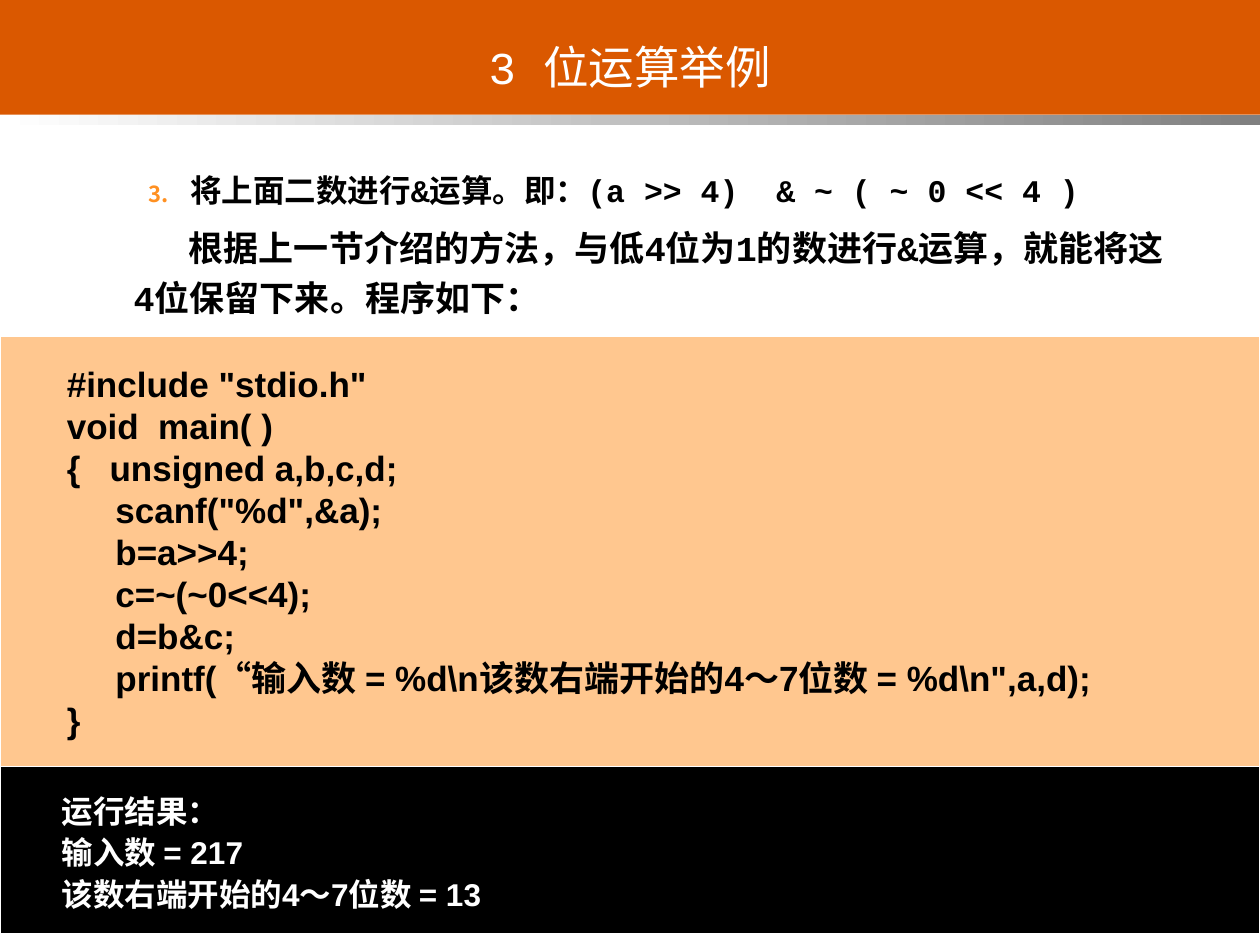
from lxml.etree import SubElement
from pptx import Presentation
from pptx.dml.color import RGBColor
from pptx.enum.lang import MSO_LANGUAGE_ID
from pptx.enum.shapes import MSO_SHAPE
from pptx.enum.text import MSO_ANCHOR, MSO_AUTO_SIZE, PP_ALIGN
from pptx.oxml.ns import qn
from pptx.util import Pt

ORANGE = RGBColor(0xDA, 0x58, 0x00)
PEACH = RGBColor(0xFF, 0xC7, 0x8F)
GRAY = RGBColor(0x80, 0x80, 0x80)
WHITE = RGBColor(0xFF, 0xFF, 0xFF)
BLACK = RGBColor(0x00, 0x00, 0x00)
NUMBER_COLOR = "FF9021"
WIDTH, HEIGHT = 720, 540

PROGRAM = r'''#include "stdio.h"
void  main( )
{   unsigned a,b,c,d;
     scanf("%d",&a);
     b=a>>4;
     c=~(~0<<4);
     d=b&c;
     printf(“输入数 = %d\n该数右端开始的4～7位数 = %d\n",a,d);
}'''
RESULT = """运行结果：
输入数 = 217
该数右端开始的4～7位数 = 13"""


def place(shape, left, top, width, height):
    shape.left, shape.top = Pt(left), Pt(top)
    shape.width, shape.height = Pt(width), Pt(height)


def write(paragraph, text, *, size, font, color, bold=False, align=PP_ALIGN.LEFT,
          line_height=None, before=0):
    paragraph.alignment = align
    paragraph.space_before = Pt(before)
    if line_height:
        paragraph.line_spacing = Pt(line_height)
    run = paragraph.add_run()
    run.text = text
    run.font.size = Pt(size)
    run.font.name = font
    run.font.bold = bold
    run.font.color.rgb = color
    run.font.language_id = MSO_LANGUAGE_ID.SIMPLIFIED_CHINESE


def set_indent(paragraph, margin, first_line):
    properties = paragraph._p.get_or_add_pPr()
    properties.set("marL", str(Pt(margin)))
    properties.set("indent", str(Pt(first_line)))
    return properties


def add_number(properties, start):
    bullet_color = SubElement(properties, qn("a:buClr"))
    SubElement(bullet_color, qn("a:srgbClr"), val=NUMBER_COLOR)
    SubElement(properties, qn("a:buSzPct"), val="70000")
    SubElement(properties, qn("a:buAutoNum"), type="arabicPeriod", startAt=str(start))


def add_panel(slide, top, height):
    panel = slide.shapes.add_shape(MSO_SHAPE.RECTANGLE, 0, Pt(top), Pt(WIDTH), Pt(height))
    panel.shadow.inherit = False
    return panel


def add_header(slide):
    band = add_panel(slide, 0, 65.5)
    band.fill.solid()
    band.fill.fore_color.rgb = ORANGE
    strip = add_panel(slide, 65.5, 5.76)
    strip.fill.gradient()
    strip.fill.gradient_angle = 180
    for stop, color in zip(strip.fill.gradient_stops, (GRAY, WHITE)):
        stop.color.rgb = color
    for position, bar in enumerate((band, strip), start=2):
        bar.line.fill.background()
        slide.shapes._spTree.insert(position, bar._element)


def fill_title(title):
    place(title, 36.7, 15.1, 646.6, 45.4)
    title.text_frame.vertical_anchor = MSO_ANCHOR.MIDDLE
    write(title.text_frame.paragraphs[0], "3 位运算举例", size=26, font="Courier New",
          color=WHITE, align=PP_ALIGN.CENTER)


def fill_body(body):
    place(body, 41.8, 90, 642.2, 102.2)
    frame = body.text_frame
    frame.auto_size = MSO_AUTO_SIZE.NONE
    step = frame.paragraphs[0]
    step.level = 1
    add_number(set_indent(step, 59.8, -23.8), 3)
    write(step, "将上面二数进行&运算。即：(a >> 4)  & ~ ( ~ 0 << 4 )", size=18,
          font="Courier New", color=BLACK, bold=True, line_height=25.9)
    explanation = frame.add_paragraph()
    SubElement(set_indent(explanation, 27.4, 31.5), qn("a:buNone"))
    write(explanation,
          "根据上一节介绍的方法，与低4位为1的数进行&运算，就能将这4位保留下来。程序如下：",
          size=20, font="Courier New", color=BLACK, bold=True, line_height=28.8, before=5)


def add_listing(slide, text, top, height, *, fill, inset, **text_format):
    panel = add_panel(slide, top, height)
    panel.fill.solid()
    panel.fill.fore_color.rgb = fill
    panel.line.color.rgb = WHITE
    panel.line.width = Pt(0.75)
    frame = panel.text_frame
    frame.word_wrap = True
    frame.vertical_anchor = MSO_ANCHOR.TOP
    frame.margin_left, frame.margin_right = Pt(inset[0]), Pt(7.2)
    frame.margin_top = frame.margin_bottom = Pt(inset[1])
    for index, line in enumerate(text.splitlines()):
        paragraph = frame.add_paragraph() if index else frame.paragraphs[0]
        write(paragraph, line, font="Arial", bold=True, **text_format)


def main():
    presentation = Presentation()
    presentation.slide_width, presentation.slide_height = Pt(WIDTH), Pt(HEIGHT)
    slide = presentation.slides.add_slide(presentation.slide_layouts[1])
    add_header(slide)
    fill_title(slide.shapes.title)
    fill_body(slide.placeholders[1])
    add_listing(slide, PROGRAM, 192.2, 246, fill=PEACH, inset=(38.2, 15.1),
                size=20, color=BLACK, line_height=24)
    add_listing(slide, RESULT, 438, 95.8, fill=BLACK, inset=(35.3, 12.2),
                size=18, color=WHITE, line_height=23.75)
    presentation.save("out.pptx")


if __name__ == "__main__":
    main()
